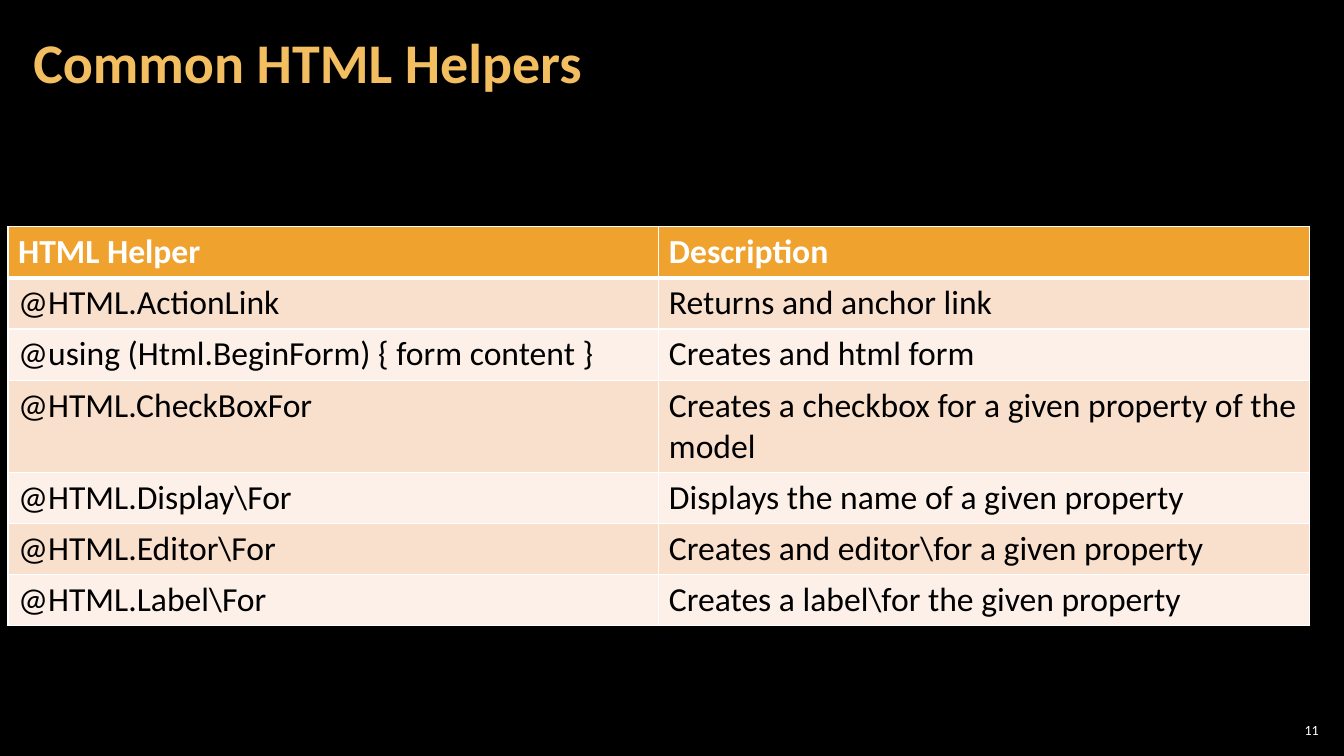
from lxml.etree import SubElement
from pptx import Presentation
from pptx.dml.color import RGBColor
from pptx.enum.text import MSO_ANCHOR, PP_ALIGN
from pptx.oxml.ns import qn
from pptx.util import Inches, Pt

BLACK = RGBColor(0x00, 0x00, 0x00)
WHITE = RGBColor(0xFF, 0xFF, 0xFF)
GOLD = RGBColor(0xF3, 0xBE, 0x60)
HEADER_ORANGE = RGBColor(0xF0, 0xA2, 0x2E)
BAND_FILLS = [RGBColor(0xF9, 0xE0, 0xCD), RGBColor(0xFC, 0xF0, 0xE8)]
FONT = "Calibri"

HELPERS = [
    ("HTML Helper", "Description"),
    ("@HTML.ActionLink", "Returns and anchor link"),
    ("@using (Html.BeginForm) { form content }", "Creates and html form"),
    ("@HTML.CheckBoxFor", "Creates a checkbox for a given property of the model"),
    ("@HTML.Display\\For", "Displays the name of a given property"),
    ("@HTML.Editor\\For", "Creates and editor\\for a given property"),
    ("@HTML.Label\\For", "Creates a label\\for the given property"),
]


def write_text(text_frame, text, size, color, bold=False,
               align=PP_ALIGN.LEFT, line_spacing=None):
    paragraph = text_frame.paragraphs[0]
    paragraph.alignment = align
    paragraph.line_spacing = line_spacing
    run = paragraph.add_run()
    run.text = text
    run.font.name = FONT
    run.font.size = Pt(size)
    run.font.bold = bold
    run.font.color.rgb = color


def set_frame(text_frame, side_margin, edge_margin):
    text_frame.word_wrap = True
    text_frame.vertical_anchor = MSO_ANCHOR.MIDDLE
    text_frame.margin_left = text_frame.margin_right = Inches(side_margin)
    text_frame.margin_top = text_frame.margin_bottom = Inches(edge_margin)


def set_borders(cell, **widths):
    """Draw white cell borders; widths maps L, R, T and B to points."""
    properties = cell._tc.get_or_add_tcPr()
    for side, width in widths.items():
        line = SubElement(properties, qn(f"a:ln{side}"), w=str(Pt(width)))
        fill = SubElement(line, qn("a:solidFill"))
        SubElement(fill, qn("a:srgbClr"), val=str(WHITE))


def add_title(slide, left, top, width, height):
    title = slide.shapes.title
    title.left, title.top = Inches(left), Inches(top)
    title.width, title.height = Inches(width), Inches(height)
    set_frame(title.text_frame, 0.12, 0.04)
    write_text(title.text_frame, "Common HTML Helpers", 40, GOLD,
               bold=True, line_spacing=0.9)


def add_helper_table(slide, left, top, width, row_height):
    table = slide.shapes.add_table(
        len(HELPERS), len(HELPERS[0]), Inches(left), Inches(top),
        Inches(width), Inches(row_height * len(HELPERS))).table
    for row_index, texts in enumerate(HELPERS):
        is_header = row_index == 0
        for column_index, text in enumerate(texts):
            cell = table.cell(row_index, column_index)
            set_borders(cell, L=1, R=1, T=3 if row_index == 1 else 1,
                        B=3 if is_header else 1)
            cell.fill.solid()
            cell.fill.fore_color.rgb = (
                HEADER_ORANGE if is_header else BAND_FILLS[(row_index - 1) % 2])
            write_text(cell.text_frame, text, 24,
                       WHITE if is_header else BLACK, bold=is_header)


def add_slide_number(slide, left, top, width, height):
    box = slide.shapes.add_textbox(
        Inches(left), Inches(top), Inches(width), Inches(height))
    set_frame(box.text_frame, 0.04, 0.04)
    write_text(box.text_frame, "11", 10, WHITE, align=PP_ALIGN.RIGHT)


def main():
    presentation = Presentation()
    presentation.slide_width = Inches(13.33)
    presentation.slide_height = Inches(7.5)
    slide = presentation.slides.add_slide(presentation.slide_layouts[5])
    slide.background.fill.solid()
    slide.background.fill.fore_color.rgb = BLACK
    add_title(slide, 0.21, 0.04, 10.47, 1.21)
    add_helper_table(slide, 0.08, 2.25, 12.91, 0.41)
    add_slide_number(slide, 12.65, 7.14, 0.47, 0.21)
    presentation.save("out.pptx")


if __name__ == "__main__":
    main()
